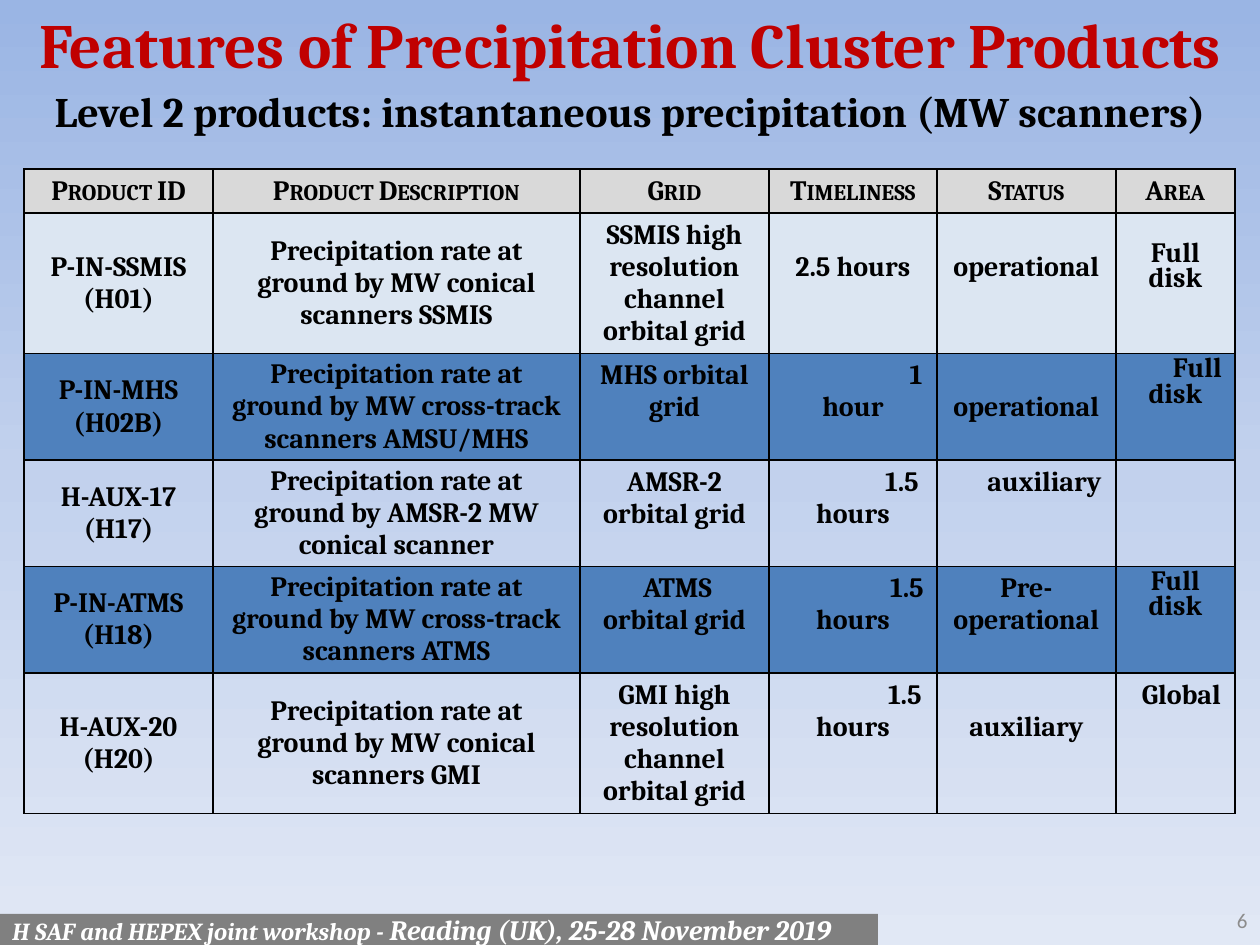
from copy import deepcopy
from dataclasses import dataclass

from lxml import etree
from pptx import Presentation
from pptx import util as u
from pptx.dml.color import RGBColor
from pptx.enum import shapes, text
from pptx.oxml import ns

PX = u.Inches(1) // 126
BLACK = RGBColor(0x00, 0x00, 0x00)
WHITE = RGBColor(0xFF, 0xFF, 0xFF)
RED = RGBColor(0xC0, 0x00, 0x00)
GREY = RGBColor(0x80, 0x80, 0x80)
NUMBER_GREY = RGBColor(0x8C, 0x8C, 0x8C)
HEADER_GREY = RGBColor(0xD9, 0xD9, 0xD9)
PALE_BLUE = RGBColor(0xDC, 0xE6, 0xF2)
BLUE = RGBColor(0x4F, 0x81, 0xBD)
SKY = (
    RGBColor(0x9A, 0xB5, 0xE4),
    RGBColor(0xC2, 0xD1, 0xED),
    RGBColor(0xE1, 0xE8, 0xF5),
)
CENTER = text.PP_ALIGN.CENTER
MIDDLE = text.MSO_ANCHOR.MIDDLE
TOP = text.MSO_ANCHOR.TOP
COLUMN_WIDTHS = (189, 367, 189, 168, 179, 119)
LINE = 32


@dataclass
class Entry:
    words: str
    drop: int = 0
    indent: int = 0
    tight: bool = False


@dataclass
class Product:
    height: int
    fill: RGBColor | None
    name: str
    description: str
    details: tuple[Entry, ...]


HEADINGS = ("Product ID", "Product Description", "Grid", "Timeliness", "Status", "Area")
PRODUCTS = (
    Product(140, PALE_BLUE, "P-IN-SSMIS (H01)",
            "Precipitation rate at ground by MW conical scanners SSMIS",
            (Entry("SSMIS high resolution channel orbital grid"),
             Entry("2.5 hours", drop=LINE),
             Entry("operational", drop=LINE),
             Entry("Full disk", drop=25, tight=True))),
    Product(106, BLUE, "P-IN-MHS (H02B)",
            "Precipitation rate at ground by MW cross-track scanners AMSU/MHS",
            (Entry("MHS orbital grid"),
             Entry("1 hour", indent=126),
             Entry("operational", drop=LINE),
             Entry("Full disk", indent=44, tight=True))),
    Product(106, None, "H-AUX-17 (H17)",
            "Precipitation rate at ground by AMSR-2 MW conical scanner",
            (Entry("AMSR-2 orbital grid"),
             Entry("1.5 hours", indent=98),
             Entry("auxiliary", indent=36),
             Entry(""))),
    Product(106, BLUE, "P-IN-ATMS (H18)",
            "Precipitation rate at ground by MW cross-track scanners ATMS",
            (Entry("ATMS orbital grid", indent=6),
             Entry("1.5 hours", indent=108),
             Entry("Pre-operational"),
             Entry("Full disk", tight=True))),
    Product(140, None, "H-AUX-20 (H20)",
            "Precipitation rate at ground by MW conical scanners GMI",
            (Entry("GMI high resolution channel orbital grid"),
             Entry("1.5 hours", indent=104),
             Entry("auxiliary", drop=LINE),
             Entry("Global", indent=12))),
)


def style(run, size: int, color: RGBColor, face="Cambria", bold=True, italic=False) -> None:
    run.font.size = u.Pt(size)
    run.font.name = face
    run.font.bold = bold
    run.font.italic = italic
    run.font.color.rgb = color


def place(shape, left: int, top: int, width: int, height: int) -> None:
    shape.left, shape.top = left * PX, top * PX
    shape.width, shape.height = width * PX, height * PX


def write_line(shape, words: str, align, size: int, color: RGBColor, **look) -> None:
    frame = shape.text_frame
    frame.word_wrap = True
    frame.vertical_anchor = MIDDLE
    frame.text = words
    frame.paragraphs[0].alignment = align
    style(frame.paragraphs[0].runs[0], size, color, **look)


def paint_background(slide) -> None:
    fill = slide.background.fill
    fill.gradient()
    fill.gradient_angle = 270
    stops = slide.element.find(".//" + ns.qn("a:gsLst"))
    stops.append(deepcopy(stops[-1]))
    for index, (stop, color) in enumerate(zip(fill.gradient_stops, SKY)):
        stop.color.rgb = color
        stop.position = index / 2


def add_borders(cell) -> None:
    properties = cell._tc.get_or_add_tcPr()
    for index, side in enumerate(("lnL", "lnR", "lnT", "lnB")):
        border = etree.Element(ns.qn(f"a:{side}"), w=str(u.Pt(1)))
        solid = etree.SubElement(border, ns.qn("a:solidFill"))
        etree.SubElement(solid, ns.qn("a:srgbClr"), val=str(BLACK))
        properties.insert(index, border)


def fill_cell(cell, entry: Entry, fill: RGBColor | None, anchor=TOP,
              side=12, edge=6, small_caps=False) -> None:
    cell.margin_left = cell.margin_right = side * PX
    cell.margin_top, cell.margin_bottom = (edge + entry.drop) * PX, edge * PX
    cell.vertical_anchor = anchor
    if fill is None:
        cell.fill.background()
    else:
        cell.fill.solid()
        cell.fill.fore_color.rgb = fill
    add_borders(cell)
    cell.text_frame.text = entry.words
    paragraph = cell.text_frame.paragraphs[0]
    paragraph.alignment = CENTER
    if entry.tight:
        paragraph.line_spacing = u.Pt(14.4)
    if entry.indent:
        paragraph._p.get_or_add_pPr().set("indent", str(entry.indent * PX))
    for run in paragraph.runs:
        style(run, 16, BLACK)
        if small_caps:
            run.font._element.set("cap", "small")


def add_product_table(slide) -> None:
    heights = (44, *(product.height for product in PRODUCTS))
    table = slide.shapes.add_table(
        len(heights), len(COLUMN_WIDTHS), 24 * PX, 169 * PX,
        sum(COLUMN_WIDTHS) * PX, sum(heights) * PX).table
    table.first_row = table.horz_banding = False
    for column, width in zip(table.columns, COLUMN_WIDTHS):
        column.width = width * PX
    for row, height in zip(table.rows, heights):
        row.height = height * PX
    for column, heading in enumerate(HEADINGS):
        fill_cell(table.cell(0, column), Entry(heading), HEADER_GREY, small_caps=True)
    for row, product in enumerate(PRODUCTS, 1):
        for column, words in enumerate((product.name, product.description)):
            fill_cell(table.cell(row, column), Entry(words), product.fill,
                      MIDDLE, side=9, edge=5)
        for column, entry in enumerate(product.details, 2):
            fill_cell(table.cell(row, column), entry, product.fill)


def add_footer(slide) -> None:
    banner = slide.shapes.add_shape(
        shapes.MSO_SHAPE.RECTANGLE, 0, 914 * PX, 878 * PX, 31 * PX)
    banner.shadow.inherit = False
    banner.fill.solid()
    banner.fill.fore_color.rgb = GREY
    banner.line.fill.background()
    write_line(banner, "H SAF and HEPEX joint workshop - ", text.PP_ALIGN.LEFT,
               14, WHITE, italic=True)
    venue = banner.text_frame.paragraphs[0].add_run()
    venue.text = "Reading (UK), 25-28 November 2019"
    style(venue, 16, WHITE, italic=True)
    number = slide.shapes.add_textbox(966 * PX, 895 * PX, 294 * PX, 50 * PX)
    write_line(number, "6", text.PP_ALIGN.RIGHT, 12, NUMBER_GREY,
               face="Calibri", bold=False)


def main() -> None:
    deck = Presentation()
    deck.slide_width, deck.slide_height = 1260 * PX, 945 * PX
    slide = deck.slides.add_slide(deck.slide_layouts.get_by_name("Title Only"))
    paint_background(slide)
    title = slide.shapes.title
    place(title, 0, 0, 1260, 87)
    write_line(title, "Features of Precipitation Cluster Products", CENTER, 36, RED)
    add_product_table(slide)
    subtitle = slide.shapes.add_textbox(0, 86 * PX, 1260 * PX, 49 * PX)
    write_line(subtitle, "Level 2 products: instantaneous precipitation (MW scanners)",
               CENTER, 24, BLACK)
    add_footer(slide)
    deck.save("out.pptx")


if __name__ == "__main__":
    main()
